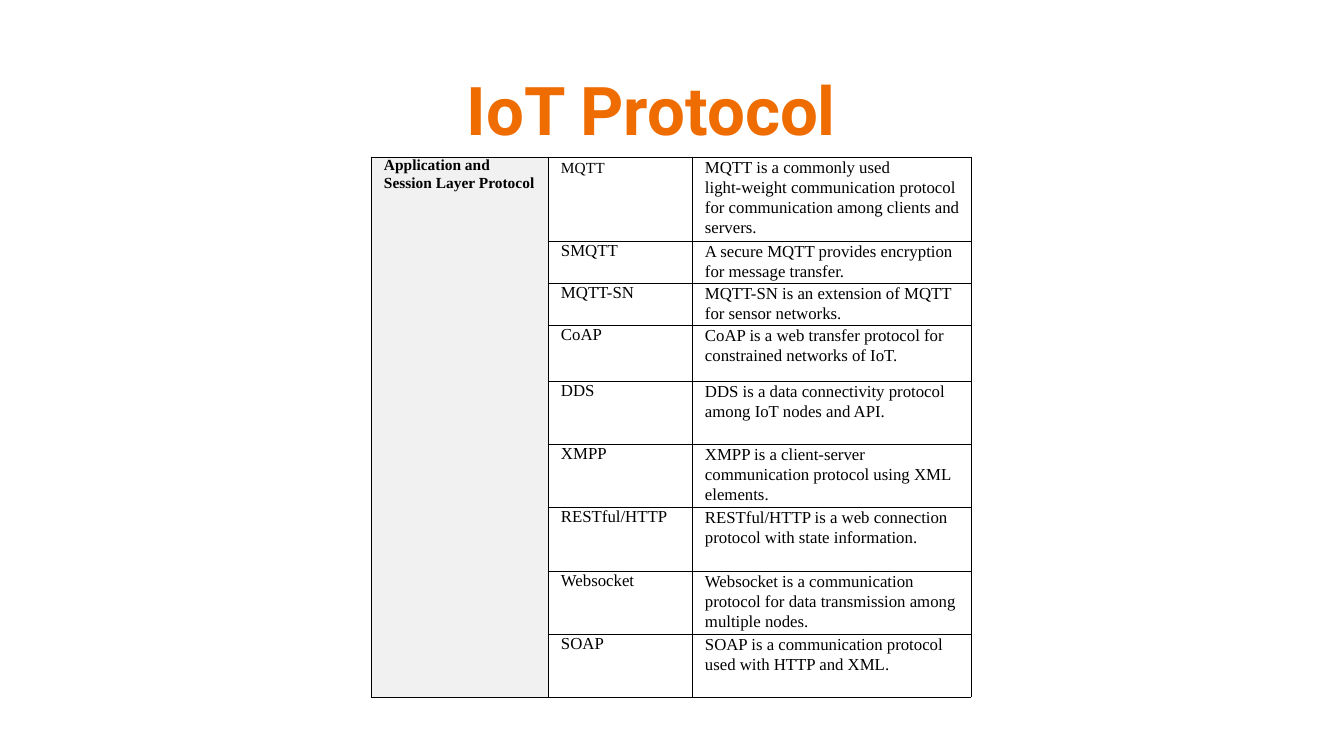
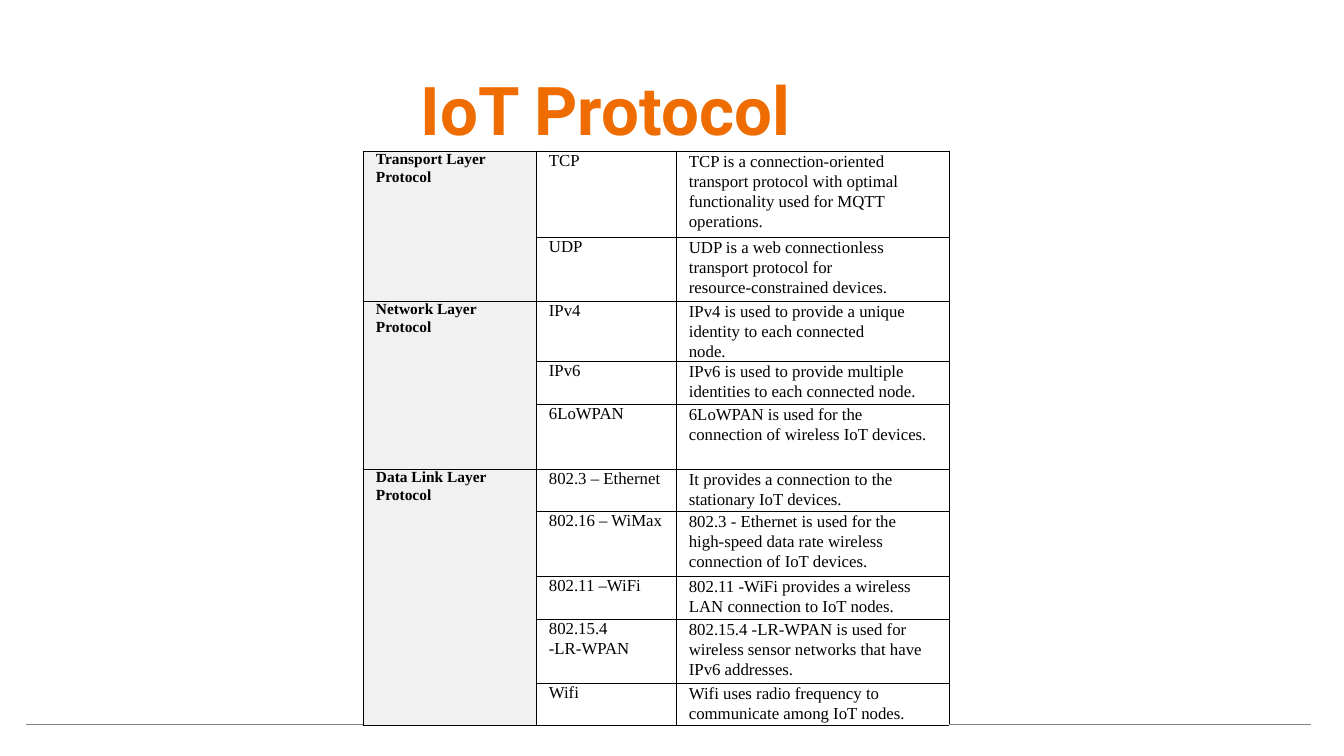
from lxml.etree import SubElement
from pptx import Presentation
from pptx.dml.color import RGBColor
from pptx.enum.text import MSO_ANCHOR as ANCHOR, PP_ALIGN as ALIGN
from pptx.oxml.ns import qn
from pptx.util import Pt

PX = 12192000 / 1344
ORANGE = RGBColor(0xEE, 0x6C, 0x00)
BLACK = RGBColor(0x00, 0x00, 0x00)
PALE = RGBColor(0xF1, 0xF1, 0xF1)
GRAY = RGBColor(0x80, 0x80, 0x80)
NO_STYLE = "{2D5ABB26-0587-4C30-8999-92F81FD0307C}"

application = [
    ("Application and\nSession Layer Protocol", [
        ("MQTT", "MQTT is a commonly used\nlight-weight communication protocol\n"
                 "for communication among clients and\nservers.", 84),
        ("SMQTT", "A secure MQTT provides encryption\nfor message transfer.", 42),
        ("MQTT-SN", "MQTT-SN is an extension of MQTT\nfor sensor networks.", 42),
        ("CoAP", "CoAP is a web transfer protocol for\nconstrained networks of IoT.", 56),
        ("DDS", "DDS is a data connectivity protocol\namong IoT nodes and API.", 63),
        ("XMPP", "XMPP is a client-server\ncommunication protocol using XML\nelements.", 63),
        ("RESTful/HTTP", "RESTful/HTTP is a web connection\nprotocol with state information.", 64),
        ("Websocket", "Websocket is a communication\nprotocol for data transmission among\n"
                      "multiple nodes.", 63),
        ("SOAP", "SOAP is a communication protocol\nused with HTTP and XML.", 63),
    ]),
]
lower_layers = [
    ("Transport Layer\nProtocol", [
        ("TCP", "TCP is a connection-oriented\ntransport protocol with optimal\n"
                "functionality used for MQTT\noperations.", 86),
        ("UDP", "UDP is a web connectionless\ntransport protocol for\n"
                "resource-constrained devices.", 64),
    ]),
    ("Network Layer\nProtocol", [
        ("IPv4", "IPv4 is used to provide a unique\nidentity to each connected\nnode.", 60),
        ("IPv6", "IPv6 is used to provide multiple\nidentities to each connected node.", 43),
        ("6LoWPAN", "6LoWPAN is used for the\nconnection of wireless IoT devices.", 65),
    ]),
    ("Data Link Layer\nProtocol", [
        ("802.3 – Ethernet", "It provides a connection to the\nstationary IoT devices.", 42),
        ("802.16 – WiMax", "802.3 - Ethernet is used for the\nhigh-speed data rate wireless\n"
                           "connection of IoT devices.", 65),
        ("802.11 –WiFi", "802.11 -WiFi provides a wireless\nLAN connection to IoT nodes.", 43),
        ("802.15.4\n-LR-WPAN", "802.15.4 -LR-WPAN is used for\nwireless sensor networks that have\n"
                               "IPv6 addresses.", 64),
        ("Wifi", "Wifi uses radio frequency to\ncommunicate among IoT nodes.", 42),
    ]),
]
slides = [
    (1101, 371, 157, [177, 144, 279], 0, application),
    (1009, 26, 151, [337, 173, 140, 273, 362], 1, lower_layers),
]


def px(n):
    return round(n * PX)


def write(cell, text, size, spacing, bold=False):
    p = cell.text_frame.paragraphs[0]
    p.line_spacing = Pt(spacing)
    for i, line in enumerate(text.split("\n")):
        if i:
            p.add_line_break()
        r = p.add_run()
        r.text = line
        r.font.name = "Times New Roman"
        r.font.size = Pt(size)
        r.font.bold = bold
        r.font.color.rgb = BLACK


prs = Presentation()
prs.slide_width, prs.slide_height = px(1344), px(756)

for title_width, left, top, widths, first, groups in slides:
    s = prs.slides.add_slide(prs.slide_layouts[5])
    sp = s.shapes.title
    sp.left, sp.top, sp.width, sp.height = px(101), px(67), px(title_width), px(83)
    tf = sp.text_frame
    tf.margin_left = tf.margin_right = tf.margin_bottom = 0
    tf.margin_top = px(1)
    tf.vertical_anchor = ANCHOR.TOP
    p = tf.paragraphs[0]
    p.alignment = ALIGN.CENTER
    r = p.add_run()
    r.text = "IoT Protocol"
    r.font.name = "Roboto"
    r.font.size = Pt(48)
    r.font.bold = True
    r.font.color.rgb = ORANGE

    rows = [row for label, members in groups for row in members]
    heights = [height for name, text, height in rows]
    frame = s.shapes.add_table(len(rows), len(widths), px(left), px(top),
                               px(sum(widths)), px(sum(heights)))
    table = frame.table
    table.first_row = table.horz_banding = False
    frame._element.find(".//" + qn("a:tableStyleId")).text = NO_STYLE
    for column, width in zip(table.columns, widths):
        column.width = px(width)
    for row, height in zip(table.rows, heights):
        row.height = px(height)

    for row in table.rows:
        for c, cell in enumerate(row.cells):
            cell.margin_left = px(13)
            cell.margin_right = cell.margin_top = cell.margin_bottom = 0
            inside = first <= c < first + 3
            if c == first:
                cell.fill.solid()
                cell.fill.fore_color.rgb = PALE
            else:
                cell.fill.background()
            tcPr = cell._tc.get_or_add_tcPr()
            for i, side in enumerate("LRTB" if inside else "B"):
                ln = SubElement(tcPr, qn("a:ln" + side), w=str(Pt(0.5 if inside else 0.75)))
                fill = SubElement(ln, qn("a:solidFill"))
                SubElement(fill, qn("a:srgbClr"), val=str(BLACK if inside else GRAY))
                tcPr.insert(i, ln)

    n = 0
    for label, members in groups:
        cell = table.cell(n, first)
        cell.merge(table.cell(n + len(members) - 1, first))
        write(cell, label, 11, 12.4, True)
        for name, text, height in members:
            write(table.cell(n, first + 1), name, 11 if name == "MQTT" else 12, 13.9)
            write(table.cell(n, first + 2), text, 12, 14.3)
            n += 1
    for c in range(len(widths)):
        if not first <= c < first + 3:
            table.cell(0, c).merge(table.cell(n - 1, c))

prs.save("out.pptx")
